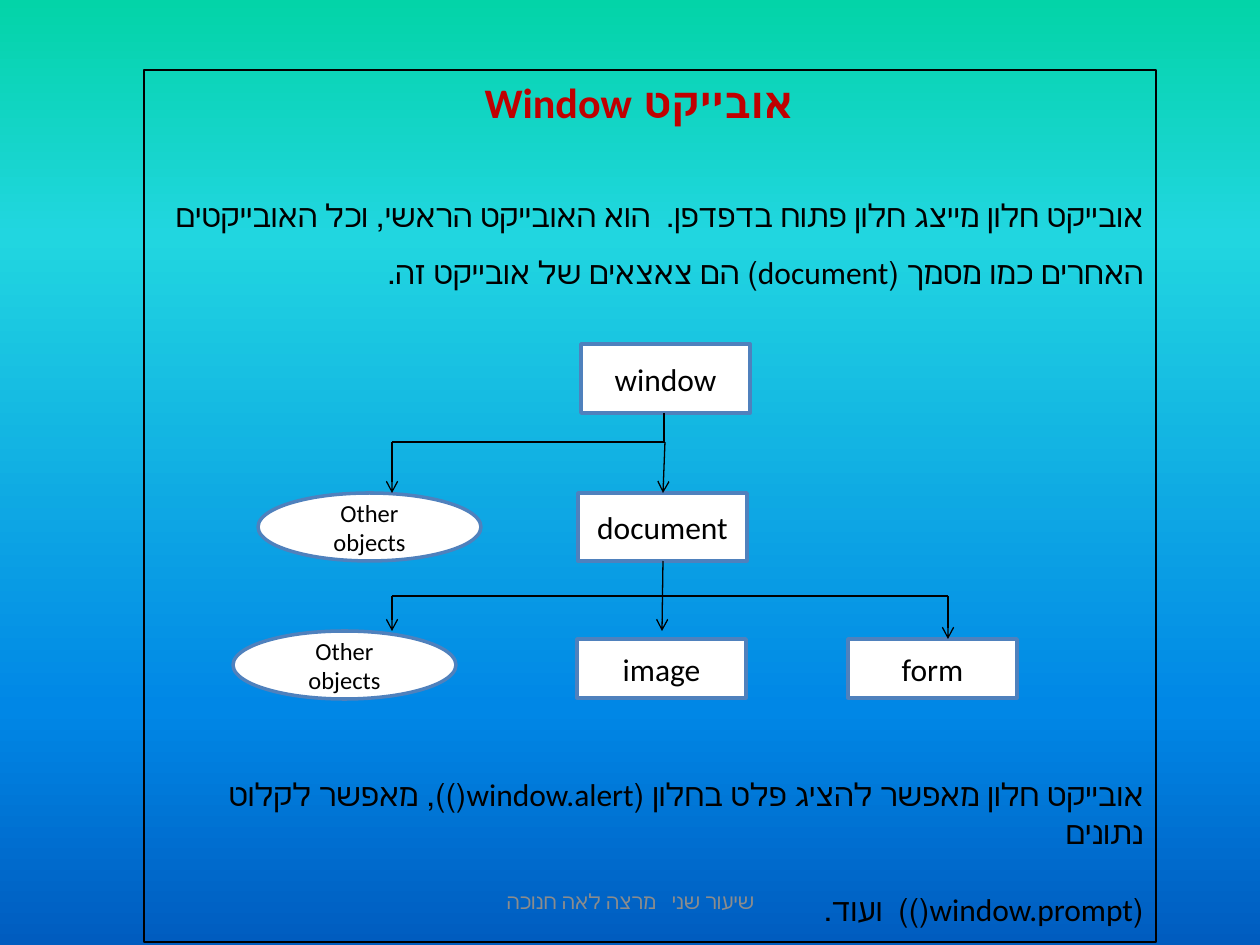
from lxml.etree import SubElement
from copy import deepcopy
from pptx import Presentation
from pptx.dml.color import RGBColor as RGB
from pptx.enum.shapes import MSO_CONNECTOR as LINK, MSO_SHAPE as KIND
from pptx.enum.text import MSO_ANCHOR as ANCHOR, PP_ALIGN as ALIGN
from pptx.oxml.ns import qn
from pptx.util import Pt

PX = 914400 / 126
INK = {"black": "000000", "white": "FFFFFF", "red": "C00000",
       "blue": "4F81BD", "gray": "8C8C8C"}
SKY = [(0, "03D4A8"), (0.25, "21D6E0"), (0.75, "0087E6"), (1, "005CBF")]


def emu(*nums):
    """Turn pixels into EMU."""
    return [round(n * PX) for n in nums]


def write(frame, text, size=18, ink="black", bold=False, align=ALIGN.CENTER,
          first=True, gap=0, lead=1.0, inset=0):
    """Write one right-to-left paragraph into a text frame."""
    para = frame.paragraphs[0] if first else frame.add_paragraph()
    para.alignment = align
    para.line_spacing = lead
    para.space_before = Pt(gap)
    props = para._p.get_or_add_pPr()
    props.set("rtl", "1")
    if inset:
        props.set("marL", str(emu(inset)[0]))
    run = para.add_run()
    run.text = text
    font = run.font
    font.name, font.size, font.bold = "Calibri", Pt(size), bold
    font.color.rgb = RGB.from_string(INK[ink])


deck = Presentation()
deck.slide_width, deck.slide_height = emu(1260, 945)
slide = deck.slides.add_slide(deck.slide_layouts[6])
shapes = slide.shapes

# Background
fill = slide.background.fill
fill.gradient()
fill.gradient_angle = 270
stops = slide._element.find(".//" + qn("a:gsLst"))
for _ in SKY[2:]:
    stops.append(deepcopy(stops[0]))
for stop, (pos, tint) in zip(fill.gradient_stops, SKY):
    stop.position = pos
    stop.color.rgb = RGB.from_string(tint)

# Framed text
panel = shapes.add_shape(KIND.RECTANGLE, *emu(144, 70, 1012, 872))
panel.shadow.inherit = False
panel.fill.background()
panel.line.color.rgb = RGB.from_string(INK["black"])
panel.line.width = Pt(0.75)
body = panel.text_frame
body.word_wrap = True
body.vertical_anchor = ANCHOR.TOP
write(body, "אובייקט Window", size=24, ink="red", bold=True, inset=22)
for text, gap, lead in [
    ("אובייקט חלון מייצג חלון פתוח בדפדפן.  הוא האובייקט הראשי, וכל האובייקטים "
     "האחרים כמו מסמך (document) הם צאצאים של אובייקט זה.", 29, 1.5),
    ("אובייקט חלון מאפשר להציג פלט בחלון (window.alert()), מאפשר לקלוט נתונים",
     277, 1.0),
    ("(window.prompt())  ועוד.", 22, 1.0),
]:
    write(body, text, align=ALIGN.RIGHT, first=False, gap=gap, lead=lead)

# Object tree
for kind, text, size, box in [
    (KIND.RECTANGLE, "window", 18, (581, 344, 169, 69)),
    (KIND.RECTANGLE, "document", 18, (578, 493, 169, 68)),
    (KIND.RECTANGLE, "form", 18, (848, 639, 169, 59)),
    (KIND.RECTANGLE, "image", 18, (577, 639, 169, 59)),
    (KIND.OVAL, "Other objects", 14, (258, 493, 223, 68)),
    (KIND.OVAL, "Other objects", 14, (233, 631, 223, 68)),
]:
    node = shapes.add_shape(kind, *emu(*box))
    node.shadow.inherit = False
    node.fill.solid()
    node.fill.fore_color.rgb = RGB.from_string(INK["white"])
    node.line.color.rgb = RGB.from_string(INK["blue"])
    node.line.width = Pt(2)
    node.text_frame.word_wrap = True
    node.text_frame.vertical_anchor = ANCHOR.MIDDLE
    write(node.text_frame, text, size=size)

# Branches: ends, then whether an arrow closes the line
for ends, arrow in [
    ((664, 413, 664, 442), False),
    ((665, 442, 392, 442), False),
    ((392, 442, 392, 493), True),
    ((665, 442, 663, 493), True),
    ((663, 561, 662, 631), True),
    ((392, 596, 948, 596), False),
    ((948, 596, 948, 639), True),
    ((392, 596, 392, 631), True),
]:
    link = shapes.add_connector(LINK.STRAIGHT, *emu(*ends))
    link.line.color.rgb = RGB.from_string(INK["black"])
    link.line.width = Pt(0.75)
    if arrow:
        SubElement(link.line._get_or_add_ln(), qn("a:tailEnd"), type="arrow")
    SubElement(link._element.spPr, qn("a:effectLst"))

# Footer
foot = shapes.add_textbox(*emu(431, 876, 399, 50)).text_frame
foot.word_wrap = True
foot.vertical_anchor = ANCHOR.MIDDLE
write(foot, "שיעור שני   מרצה לאה חנוכה", size=12, ink="gray")

deck.save("out.pptx")
